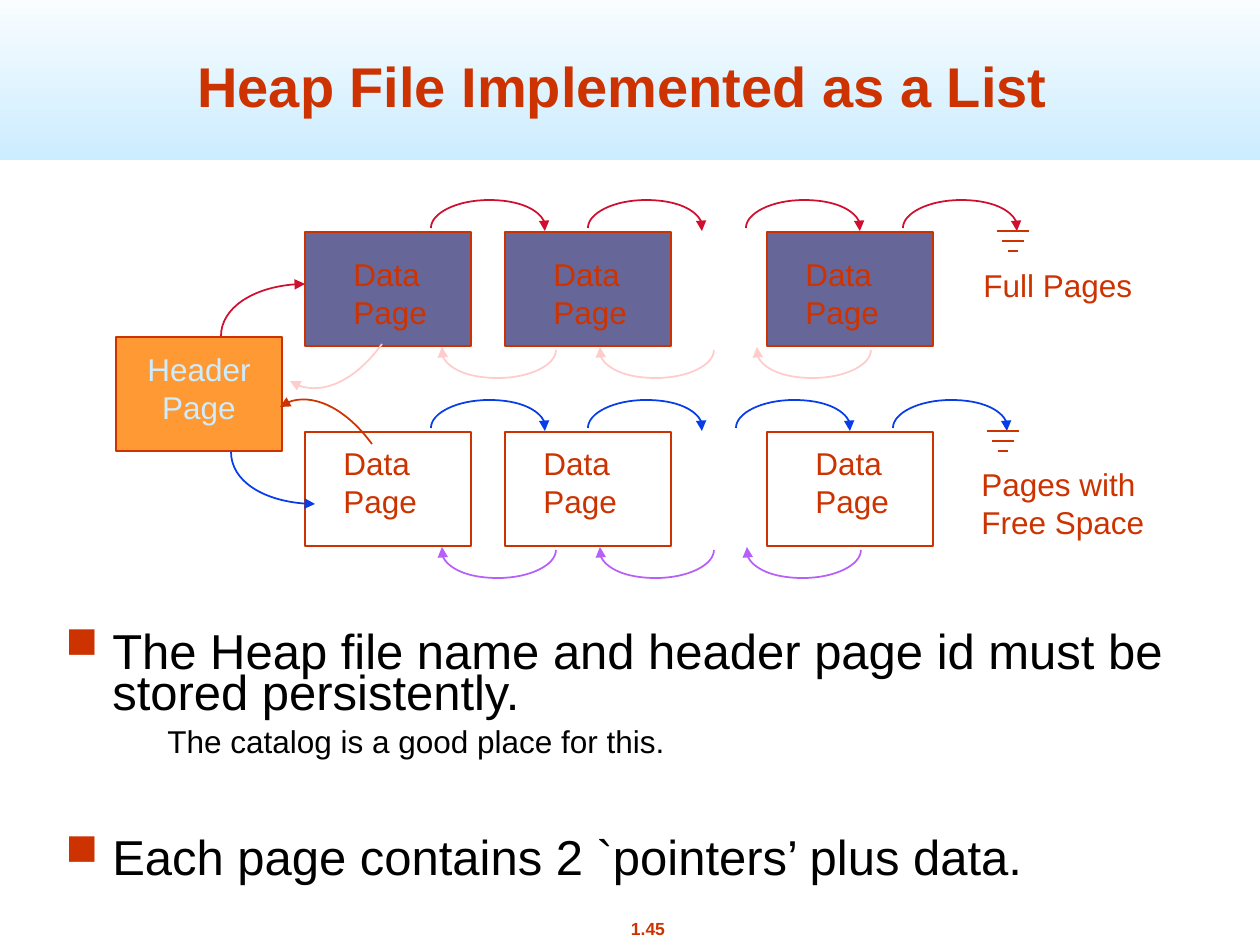
"""Build the slide on a heap file kept as two linked lists of pages."""
import dataclasses

import pptx
import pptx.dml.color
import pptx.enum.shapes
import pptx.enum.text
import pptx.oxml
import pptx.oxml.ns
import pptx.util

ALIGN = pptx.enum.text.PP_ALIGN
RECT = pptx.enum.shapes.MSO_SHAPE.RECTANGLE
LINE = pptx.enum.shapes.MSO_CONNECTOR.STRAIGHT
NS = pptx.oxml.ns.nsdecls("a")
SCALE = 914400 / 126


def px(*nums):
    return [pptx.util.Emu(round(n * SCALE)) for n in nums]


def rgb(code):
    return pptx.dml.color.RGBColor.from_string(code)


@dataclasses.dataclass
class Theme:
    font: str = "Arial"
    rust: str = "CC3300"
    sky: str = "CCECFF"
    white: str = "FFFFFF"
    black: str = "000000"
    slate: str = "666699"
    amber: str = "FF9933"
    red: str = "CF0E30"
    pink: str = "FFCCCC"
    blue: str = "063DE8"
    violet: str = "B760F9"
    title: int = 32
    body: int = 28
    label: int = 18
    foot: int = 10


class Deck:
    def __init__(self, slide, theme):
        self.slide, self.theme = slide, theme
        self.shapes = slide.shapes

    def band(self, x, y, w, h):
        shape = self.shapes.add_shape(RECT, *px(x, y, w, h))
        shape.shadow.inherit = False
        shape.line.fill.background()
        shape.fill.gradient()
        shape.fill.gradient_angle = 270
        for stop, code in zip(shape.fill.gradient_stops, (self.theme.white, self.theme.sky)):
            stop.color.rgb = rgb(code)

    def stroke(self, shape, color):
        shape.line.color.rgb = rgb(color)
        shape.line.width = pptx.util.Pt(1)

    def box(self, x, y, fill=None):
        shape = self.shapes.add_shape(RECT, *px(x, y, 166, 114))
        shape.shadow.inherit = False
        self.stroke(shape, self.theme.rust)
        if fill:
            shape.fill.solid()
            shape.fill.fore_color.rgb = rgb(fill)
        else:
            shape.fill.background()

    def frame(self, x, y, w, h, wrap=False):
        frame = self.shapes.add_textbox(*px(x, y, w, h)).text_frame
        frame.word_wrap = wrap
        return frame

    def para(self, frame, text, size, color, align=ALIGN.LEFT, bold=False, before=0):
        para = frame.paragraphs[0]
        if para.runs:
            para = frame.add_paragraph()
        para.alignment = align
        para.space_before = pptx.util.Pt(before)
        run = para.add_run()
        run.text = text
        font = run.font
        font.name, font.size, font.bold = self.theme.font, pptx.util.Pt(size), bold
        font.color.rgb = rgb(color)
        return para

    def label(self, x, y, w, lines, color, align=ALIGN.LEFT):
        frame = self.frame(x, y, w, 12 + 38 * len(lines))
        for line in lines:
            self.para(frame, line, self.theme.label, color, align)

    def point(self, frame, text, size, before, left, bullet=False):
        para = self.para(frame, text, size, self.theme.black, before=before)
        para.line_spacing = 0.7
        props = para._p.get_or_add_pPr()
        edge = px(left)[0]
        props.set("marL", str(edge))
        props.set("indent", str(-edge if bullet else 0))
        if bullet:
            for tag in (
                f'<a:buClr {NS}><a:srgbClr val="{self.theme.rust}"/></a:buClr>',
                f'<a:buSzPct {NS} val="90000"/>',
                f'<a:buChar {NS} char="■"/>',
            ):
                props.append(pptx.oxml.parse_xml(tag))

    def curve(self, start, knots, color):
        pen = self.shapes.build_freeform(*start, scale=SCALE)
        pen.add_line_segments(knots, close=False)
        shape = pen.convert_to_shape()
        shape.shadow.inherit = False
        shape.fill.background()
        self.stroke(shape, color)
        legs = list(shape.element.iter(pptx.oxml.ns.qn("a:lnTo")))
        for i in range(0, len(legs), 3):
            bend = pptx.oxml.parse_xml(f"<a:cubicBezTo {NS}/>")
            legs[i].addprevious(bend)
            for leg in legs[i:i + 3]:
                bend.append(leg[0])
                leg.getparent().remove(leg)
        tail = pptx.oxml.parse_xml(f'<a:tailEnd {NS} type="triangle"/>')
        shape.get_or_add_ln().append(tail)

    def arc(self, x, y, color, back=False):
        dots = [(0, 28), (0, 13), (26, 0), (58, 0), (89, 0), (115, 13),
                (115, 28), (115, 29), (115, 30), (114, 31)]
        if back:
            dots = [(115 - a, 31 - b) for a, b in dots]
        start, *knots = [(x + a, y + b) for a, b in dots]
        self.curve(start, knots, color)

    def ground(self, x, y):
        group = self.shapes.add_group_shape()
        for i, half in enumerate((16, 11, 5)):
            level = y + 10 * i
            line = group.shapes.add_connector(LINE, *px(x - half, level, x + half, level))
            self.stroke(line, self.theme.rust)
            line.element.spPr.append(pptx.oxml.parse_xml(f"<a:effectLst {NS}/>"))


def main():
    show = pptx.Presentation()
    show.slide_width, show.slide_height = px(1260, 945)
    look = Theme()
    deck = Deck(show.slides.add_slide(show.slide_layouts[6]), look)

    deck.band(0, -21, 1260, 181)
    foot = deck.frame(586, 912, 124, 34)
    deck.para(foot, "1.45", look.foot, look.rust, ALIGN.CENTER, True, 6.2)
    head = deck.frame(95, 20, 1071, 105, True)
    head.vertical_anchor = pptx.enum.text.MSO_ANCHOR.BOTTOM
    deck.para(head, "Heap File Implemented as a List ", look.title, look.rust, ALIGN.CENTER, True)

    body = deck.frame(53, 630, 1155, 273, True)
    deck.point(body, "The Heap file name and header page id must be stored persistently.",
               look.body, 12.2, 47, True)
    deck.point(body, "The catalog is a good place for this.", look.label, 7.9, 102)
    deck.point(body, "Each page contains 2 `pointers’ plus data.", look.body, 48, 47, True)

    rows = [
        (232, look.slate, 249, (341, 541, 793), look.red, look.pink,
         (431, 588, 746, 903), (441, 599, 756), 1013),
        (432, None, 438, (331, 531, 803), look.blue, look.violet,
         (431, 588, 736, 893), (441, 599, 746), 1003),
    ]
    for top, fill, mid, texts, fore, back, outs, ins, end in rows:
        for x in (305, 505, 767):
            deck.box(x, top, fill)
        for x in texts:
            deck.label(x, mid, 100, ["Data", "Page"], look.rust)
        for x in outs:
            deck.arc(x, top - 32, fore)
        for x in ins:
            deck.arc(x, top + 115, back, True)
        deck.ground(end, top - 1)

    deck.box(116, 337, look.amber)
    deck.label(124, 344, 150, ["Header", "Page"], look.sky, ALIGN.CENTER)
    deck.label(971, 260, 180, ["Full Pages"], look.rust)
    deck.label(969, 459, 194, ["Pages with", "Free Space"], look.rust)

    hooks = [
        ((221, 336), [(221, 308), (258, 284), (305, 284)], look.red),
        ((382, 344), [(354, 382), (314, 398), (290, 381)], look.pink),
        ((372, 444), [(344, 406), (302, 389), (280, 407)], look.rust),
        ((231, 452), [(231, 481), (268, 504), (315, 504)], look.blue),
    ]
    for hook in hooks:
        deck.curve(*hook)
    show.save("out.pptx")


if __name__ == "__main__":
    main()
